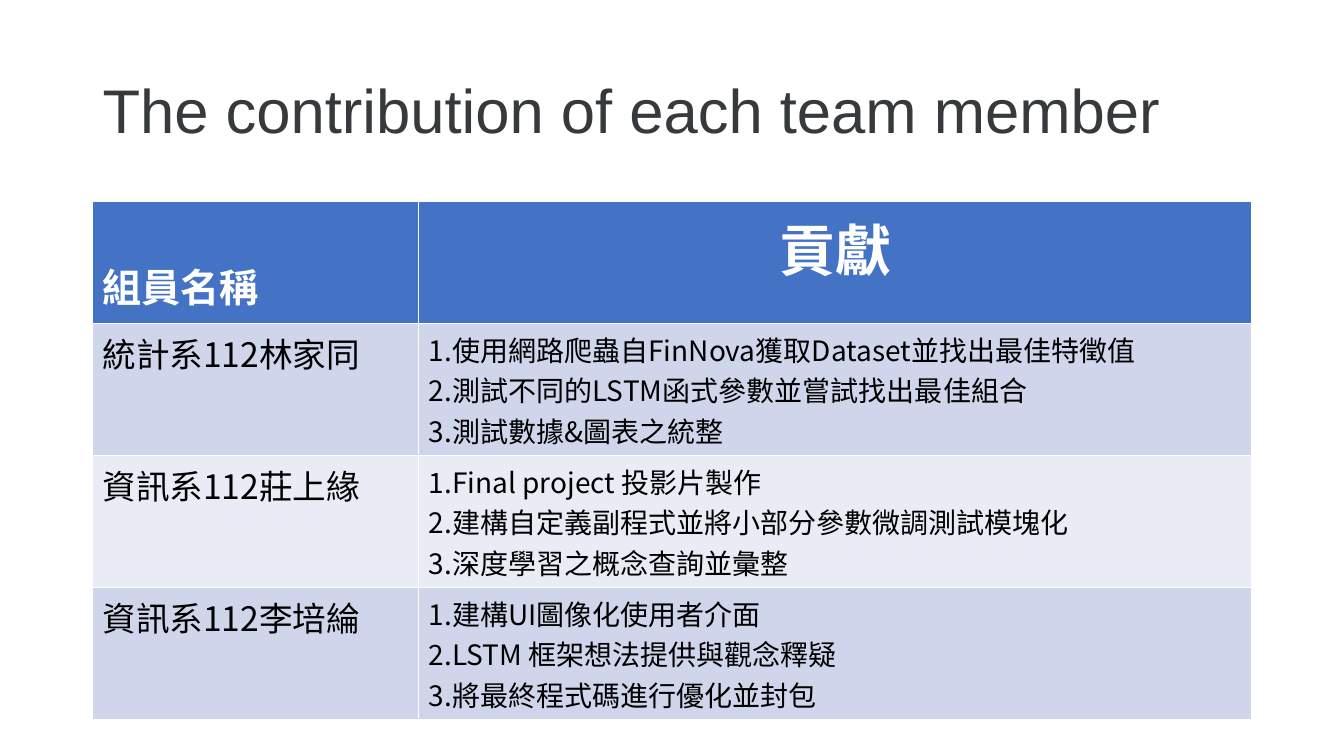
from pptx import Presentation
from pptx.dml.color import RGBColor
from pptx.enum.text import MSO_ANCHOR, PP_ALIGN
from pptx.oxml.ns import qn
from pptx.util import Cm, Pt
from lxml import etree

LEFT, CENTER = PP_ALIGN.LEFT, PP_ALIGN.CENTER
TOP, MIDDLE, BOTTOM = MSO_ANCHOR.TOP, MSO_ANCHOR.MIDDLE, MSO_ANCHOR.BOTTOM

TITLE = "The contribution of each team member"
HEADERS = ["組員名稱", "貢獻"]
MEMBERS = [
    ("統計系112林家同", [
        "1.使用網路爬蟲自FinNova獲取Dataset並找出最佳特徵值",
        "2.測試不同的LSTM函式參數並嘗試找出最佳組合",
        "3.測試數據&圖表之統整",
    ]),
    ("資訊系112莊上緣", [
        "1.Final project 投影片製作",
        "2.建構自定義副程式並將小部分參數微調測試模塊化",
        "3.深度學習之概念查詢並彙整",
    ]),
    ("資訊系112李培綸", [
        "1.建構UI圖像化使用者介面",
        "2.LSTM 框架想法提供與觀念釋疑",
        "3.將最終程式碼進行優化並封包",
    ]),
]

THEME = {
    "header_fill": "4472C4",
    "bands": ["CFD5EA", "E9EBF5"],
    "title": {"name": "Arial", "size": 44, "color": "373A3C", "bold": False},
    "name_header": {"name": "Noto Sans CJK SC", "size": 28, "color": "FFFFFF", "bold": True},
    "work_header": {"name": "Noto Sans CJK SC", "size": 40, "color": "FFFFFF", "bold": True},
    "member": {"name": "Noto Sans CJK SC", "size": 24, "color": "000000", "bold": False},
    "work": {"name": "Noto Sans CJK SC", "size": 20, "color": "000000", "bold": False},
}

SIDE, CONTENT_WIDTH = Cm(2.33), Cm(29.21)
TITLE_TOP, TITLE_HEIGHT = Cm(1.02), Cm(3.68)
TABLE_TOP, ROW_HEIGHT = Cm(5.08), Cm(3.07)
NAME_WIDTH = Cm(8.22)


def write(frame, lines, style, align=LEFT):
    """Fill a text frame with one paragraph per line, in one style."""
    for index, line in enumerate(lines):
        para = frame.paragraphs[0] if index == 0 else frame.add_paragraph()
        para.alignment = align
        span = para.add_run()
        span.text = line
        formats = {"name": style["name"], "size": Pt(style["size"]), "bold": style["bold"]}
        for key, value in formats.items():
            setattr(span.font, key, value)
        span.font.color.rgb = RGBColor.from_string(style["color"])
        east_asian = etree.SubElement(span.font._element, qn("a:ea"))
        east_asian.set("typeface", style["name"])


def fill_cell(cell, lines, style, color, align=LEFT, anchor=TOP):
    cell.fill.solid()
    cell.fill.fore_color.rgb = RGBColor.from_string(color)
    cell.vertical_anchor = anchor
    write(cell.text_frame, lines, THEME[style], align)


def add_title(page):
    title = page.shapes.title
    place = {"left": SIDE, "top": TITLE_TOP, "width": CONTENT_WIDTH, "height": TITLE_HEIGHT}
    for key, value in place.items():
        setattr(title, key, value)
    title.text_frame.vertical_anchor = MIDDLE
    write(title.text_frame, [TITLE], THEME["title"])
    title.text_frame.paragraphs[0].line_spacing = 0.9


def add_contributions(page):
    row_count = len(MEMBERS) + 1
    table = page.shapes.add_table(row_count, len(HEADERS), SIDE, TABLE_TOP,
                                  CONTENT_WIDTH, ROW_HEIGHT * row_count).table
    table.columns[0].width = NAME_WIDTH
    table.columns[1].width = CONTENT_WIDTH - NAME_WIDTH

    name_header, work_header = table.cell(0, 0), table.cell(0, 1)
    fill_cell(name_header, HEADERS[:1], "name_header", THEME["header_fill"], anchor=BOTTOM)
    name_header.margin_bottom = Cm(0.25)
    fill_cell(work_header, HEADERS[1:], "work_header", THEME["header_fill"], align=CENTER)

    for row, (member, work) in enumerate(MEMBERS, start=1):
        band = THEME["bands"][(row - 1) % len(THEME["bands"])]
        fill_cell(table.cell(row, 0), [member], "member", band)
        fill_cell(table.cell(row, 1), work, "work", band)


def main():
    deck = Presentation()
    deck.slide_width, deck.slide_height = Cm(33.87), Cm(19.05)
    page = deck.slides.add_slide(deck.slide_layouts[5])
    add_title(page)
    add_contributions(page)
    deck.save("out.pptx")


if __name__ == "__main__":
    main()
